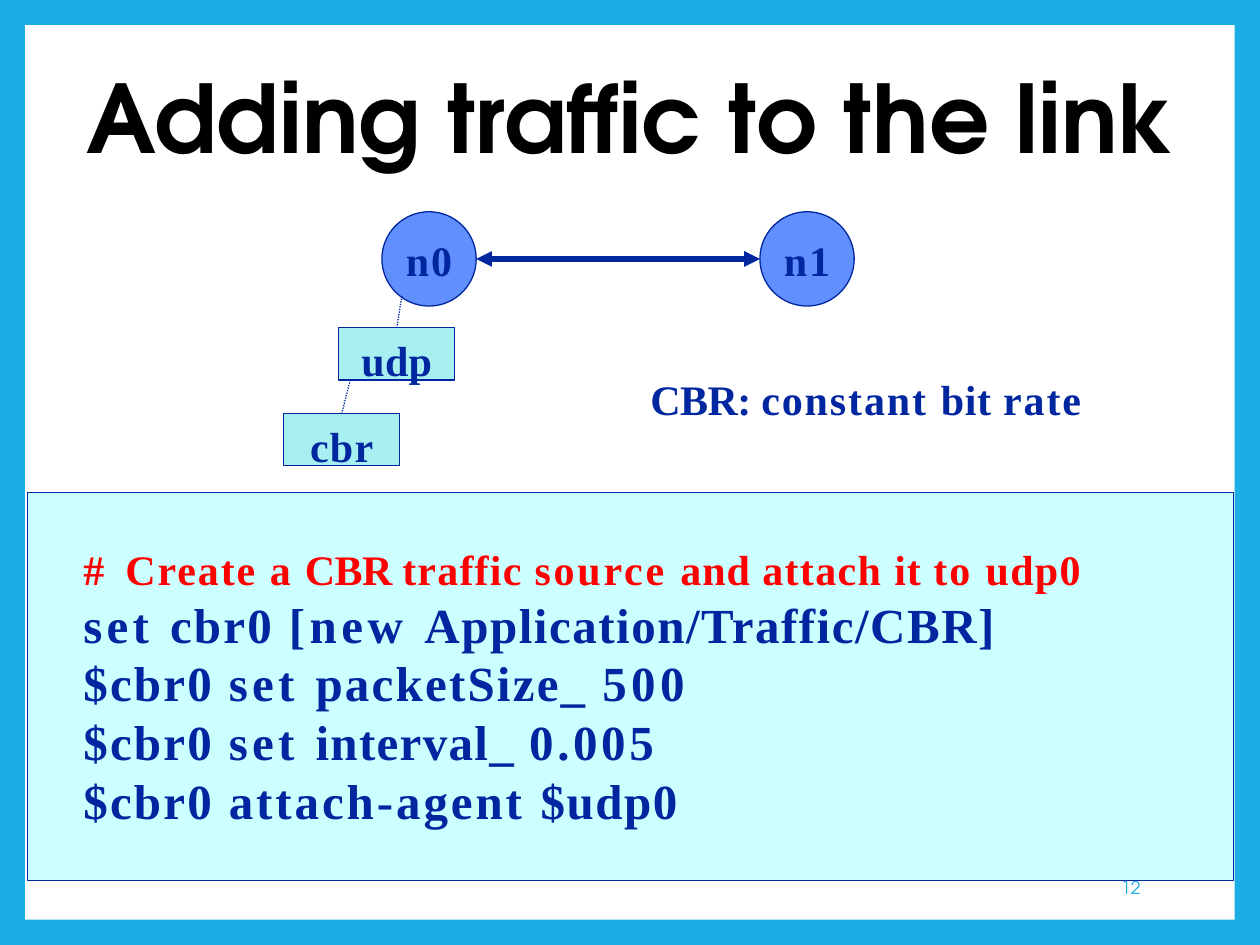
import pptx
import pptx.util
import pptx.dml.color
import pptx.enum.dml
import pptx.enum.shapes
import pptx.enum.text
import pptx.oxml
from pptx.oxml.ns import qn
from pptx.util import Cm, Pt

COLORS = {"frame": "1CADE4", "paper": "FFFFFF", "ink": "00279F", "node": "618FFD",
          "agent": "A7EFF1", "panel": "CCFFFF", "comment": "FF0000", "title": "000000"}
SERIF, SANS = "Times New Roman", "TeX Gyre Adventor"
SHAPES = pptx.enum.shapes.MSO_SHAPE
ANCHOR = pptx.enum.text.MSO_ANCHOR
ALIGN = pptx.enum.text.PP_ALIGN


def add_shape(kind, left, top, width, height, fill, line=None):
    shape = slide.shapes.add_shape(kind, Cm(left), Cm(top), Cm(width), Cm(height))
    shape.shadow.inherit = False
    shape.fill.solid()
    shape.fill.fore_color.rgb = pptx.dml.color.RGBColor.from_string(COLORS[fill])
    if line:
        shape.line.color.rgb = pptx.dml.color.RGBColor.from_string(COLORS[line])
        shape.line.width = Pt(0.75)
    else:
        shape.line.fill.background()
    frame = shape.text_frame
    frame.margin_left = frame.margin_right = frame.margin_top = frame.margin_bottom = 0
    return shape


def add_runs(paragraph, runs, size, color="ink", font=SERIF, bold=True):
    """Add (text, letter spacing in points) pairs as runs."""
    for text, spacing in runs:
        run = paragraph.add_run()
        run.text = text
        run.font.name = font
        run.font.size = Pt(size)
        run.font.bold = bold
        run.font.color.rgb = pptx.dml.color.RGBColor.from_string(COLORS[color])
        if spacing:
            run.font._element.set("spc", str(round(spacing * 100)))


presentation = pptx.Presentation()
presentation.slide_width, presentation.slide_height = Cm(25.4), Cm(19.05)
slide = presentation.slides.add_slide(presentation.slide_layouts[5])

# Blue frame around a white page
slide.background.fill.solid()
slide.background.fill.fore_color.rgb = pptx.dml.color.RGBColor.from_string(COLORS["frame"])
page = add_shape(SHAPES.RECTANGLE, 0.51, 0.51, 24.38, 18.03, "paper")

# Title, brought in front of the page
title = slide.shapes.title
title.left, title.top, title.width, title.height = Cm(0.53), Cm(1.04), Cm(24.33), Cm(2.57)
title.text_frame.auto_size = pptx.enum.text.MSO_AUTO_SIZE.NONE
title.text_frame.vertical_anchor = ANCHOR.MIDDLE
title.text_frame.paragraphs[0].alignment = ALIGN.CENTER
add_runs(title.text_frame.paragraphs[0], [("Adding traffic to the link", 0)], 54, "title", SANS)
page._element.addnext(title._element)

# Slide number and CBR label
for left, top, width, height, text, size, color, font, spacing, align in (
        (19.43, 17.3, 3.56, 1.02, [("12", 0)], 10, "frame", SANS, 16.5, ALIGN.RIGHT),
        (13.11, 7.5, 8.94, 1.09,
         [("CBR: ", -0.3), ("constant ", 1.1), ("bit ", 0.4), ("rate", 1.1)],
         24, "ink", SERIF, None, ALIGN.LEFT)):
    box = slide.shapes.add_textbox(Cm(left), Cm(top), Cm(width), Cm(height))
    frame = box.text_frame
    frame.word_wrap = True
    frame.vertical_anchor = ANCHOR.MIDDLE
    frame.margin_left = frame.margin_right = frame.margin_top = frame.margin_bottom = 0
    paragraph = frame.paragraphs[0]
    paragraph.alignment = align
    if spacing:
        paragraph.line_spacing = Pt(spacing)
    add_runs(paragraph, text, size, color, font, font == SERIF)

# Network nodes
NODE_TOP, NODE_SIZE = 4.27, 1.9
NODE_LEFTS = {"n0": 7.7, "n1": 15.32}
for name, left in NODE_LEFTS.items():
    node = add_shape(SHAPES.OVAL, left, NODE_TOP, NODE_SIZE, NODE_SIZE, "node", "ink")
    node.text_frame.word_wrap = False
    node.text_frame.vertical_anchor = ANCHOR.MIDDLE
    node.text_frame.margin_top = Cm(0.05)
    node.text_frame.paragraphs[0].alignment = ALIGN.CENTER
    add_runs(node.text_frame.paragraphs[0], [(name, 1.1)], 24)

# Agents attached to n0
agents = {}
for name, left, top, spacing in (("udp", 6.83, 6.6, 0.2), ("cbr", 5.72, 8.33, 0.8)):
    agent = add_shape(SHAPES.RECTANGLE, left, top, 2.34, 1.06, "agent", "ink")
    agent.text_frame.vertical_anchor = ANCHOR.TOP
    agent.text_frame.margin_top = Cm(0.15)
    agent.text_frame.paragraphs[0].alignment = ALIGN.CENTER
    add_runs(agent.text_frame.paragraphs[0], [(name, spacing)], 24)
    agents[name] = agent

# Link between the nodes and dotted attachments
middle = NODE_TOP + NODE_SIZE / 2
for start, end, width, agent in (
        ((NODE_LEFTS["n0"] + NODE_SIZE, middle), (NODE_LEFTS["n1"], middle), 3, None),
        ((8.1, 5.97), (8.0, 6.6), 0.75, "udp"),
        ((7.06, 7.66), (6.89, 8.33), 0.75, "cbr")):
    connector = slide.shapes.add_connector(
        pptx.enum.shapes.MSO_CONNECTOR.STRAIGHT, *map(Cm, start + end))
    connector.line.color.rgb = pptx.dml.color.RGBColor.from_string(COLORS["ink"])
    connector.line.width = Pt(width)
    if agent:
        connector.end_connect(agents[agent], 0)
        connector.line.dash_style = pptx.enum.dml.MSO_LINE.ROUND_DOT
    else:
        for tag in ("a:headEnd", "a:tailEnd"):
            arrowhead = pptx.oxml.xmlchemy.OxmlElement(tag)
            arrowhead.set("type", "triangle")
            connector.line._get_or_add_ln().append(arrowhead)
    connector._element.spPr.append(pptx.oxml.xmlchemy.OxmlElement("a:effectLst"))

# Code panel
CODE = [
    (24, "comment", [("# ", 3), ("Create ", 1.1), ("a ", 1), ("CBR ", -0.3), ("traffic ", 0.7),
                     ("source ", 1.6), ("and ", 0.5), ("attach ", 0.8), ("it ", 0.5),
                     ("to ", 1.3), ("udp0", 0.8)]),
    (28, "ink", [("set ", 2.5), ("cbr0 ", 1.3), ("[new ", 2.6),
                 ("Application/Traffic/CBR]", 0.9)]),
    (28, "ink", [("$cbr0 ", 1.3), ("set ", 2.5), ("packetSize_ ", 1.3), ("500", 2.5)]),
    (28, "ink", [("$cbr0 ", 1.3), ("set ", 2.5), ("interval_ ", 0.8), ("0.005", 2.1)]),
    (28, "ink", [("$cbr0 ", 1.3), ("attach-agent ", 1.7), ("$udp0", 0.9)]),
]
panel = add_shape(SHAPES.RECTANGLE, 0.56, 9.93, 24.31, 7.82, "panel", "ink")
frame = panel.text_frame
frame.vertical_anchor = ANCHOR.TOP
frame.margin_left, frame.margin_top = Cm(1.12), Cm(1.03)
for index, (size, color, runs) in enumerate(CODE):
    paragraph = frame.add_paragraph() if index else frame.paragraphs[0]
    paragraph.alignment = ALIGN.LEFT
    add_runs(paragraph, runs, size, color)

presentation.save("out.pptx")
